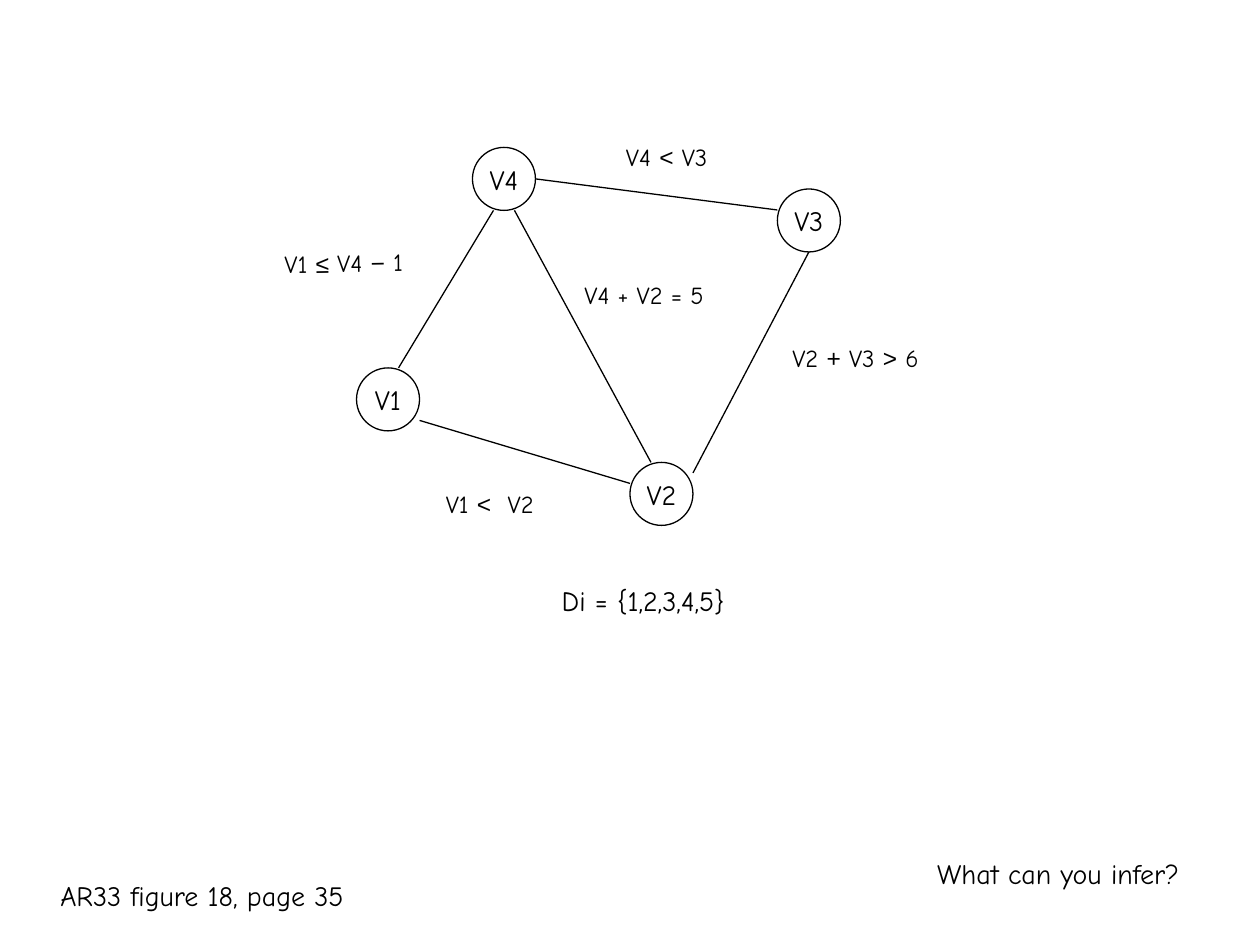
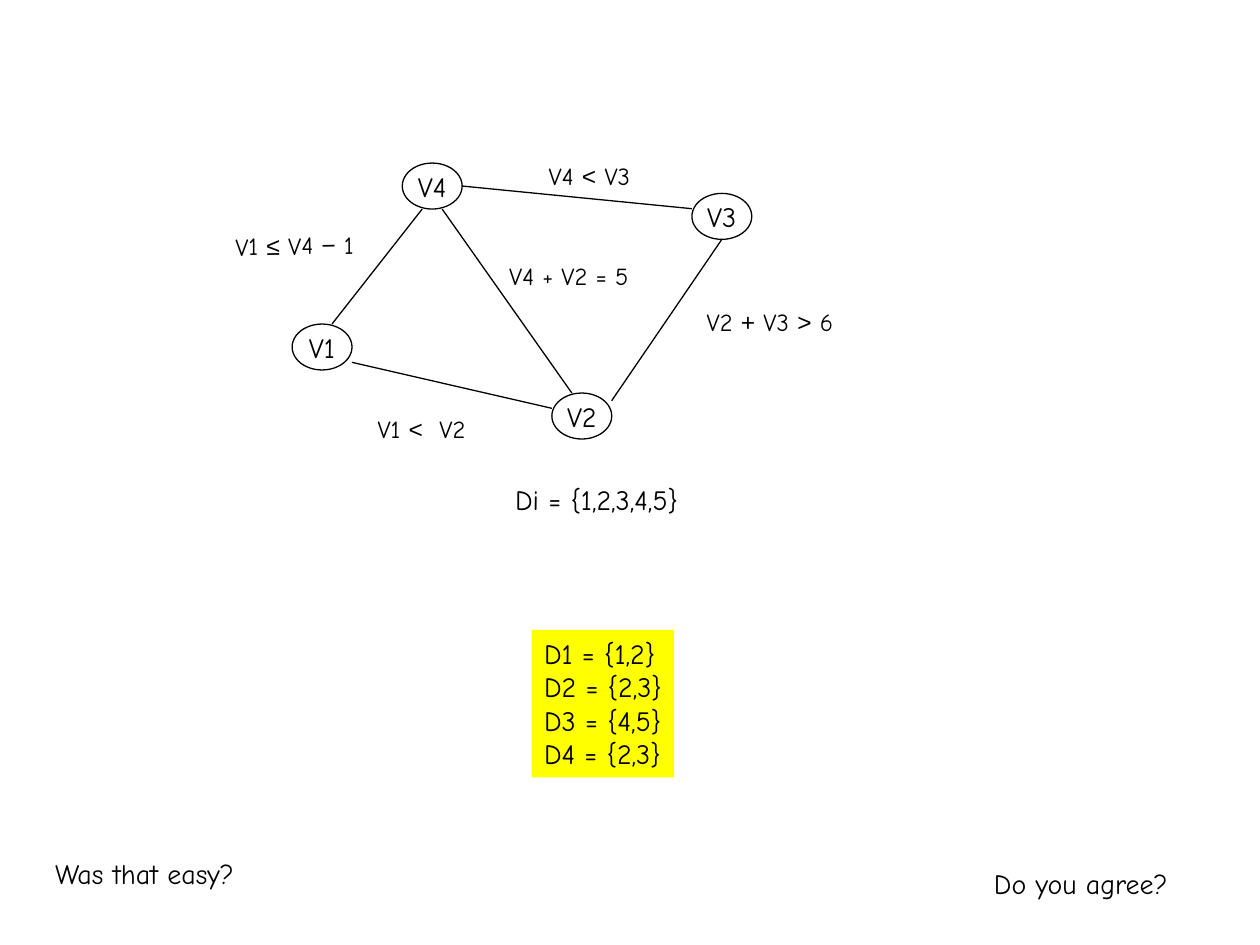
"""Build two slides of a constraint graph: the question, then the reduced domains."""
from lxml import etree
from pptx import Presentation
from pptx.dml.color import RGBColor
from pptx.enum.shapes import MSO_CONNECTOR, MSO_SHAPE
from pptx.enum.text import MSO_ANCHOR, MSO_AUTO_SIZE, PP_ALIGN
from pptx.oxml.ns import qn
from pptx.util import Inches, Pt

BLACK = RGBColor(0x00, 0x00, 0x00)
YELLOW = RGBColor(0xFF, 0xFF, 0x00)
FONT, SYMBOL_FONT = "Comic Neue", "Arial"
BODY, SMALL = 16, 14
LINE_WIDTH = Pt(0.75)
OVAL, RECT, STRAIGHT = MSO_SHAPE.OVAL, MSO_SHAPE.RECTANGLE, MSO_CONNECTOR.STRAIGHT
LEFT, CENTER = PP_ALIGN.LEFT, PP_ALIGN.CENTER
TOP, MIDDLE, GROW = MSO_ANCHOR.TOP, MSO_ANCHOR.MIDDLE, MSO_AUTO_SIZE.SHAPE_TO_FIT_TEXT
BODY_H, SMALL_H = 0.37, 0.34

NODE = 0.5
NODES = {"V1": (2.83, 2.92), "V3": (6.17, 1.5), "V2": (5, 3.67), "V4": (3.75, 1.17)}
EDGES = [
    ("V4", (1 / 3, 1), "V1", (2 / 3, 0)),
    ("V1", (1, 5 / 6), "V2", (0, 1 / 3)),
    ("V2", (1, 1 / 6), "V3", (1 / 2, 1)),
    ("V4", (1, 1 / 2), "V3", (0, 1 / 3)),
    ("V4", (2 / 3, 1), "V2", (1 / 3, 0)),
]
CONSTRAINTS = [
    (("V4 ", "<", " V3"), 4.87, 1.08, 0.84),
    (("V4 + V2 = 5",), 4.54, 2.17, 1.15),
    (("V1 ", "<", "  V2"), 3.44, 3.83, 0.89),
    (("V2 ", "+", " V3 ", ">", " 6"), 6.19, 2.67, 1.2),
]
TILTED = ("V1 ", "≤", " V4 ", "−", " 1")
DOMAIN = "Di = {1,2,3,4,5}"

SLIDES = [
    {
        "scale": (1, 1), "offset": (0, 0),
        "tilted": (2.16, 1.92, 1.33), "domain": (4.36, 4.58, 1.49),
        "remarks": [("AR33 figure 18, page 35", 0.38, 6.92, 2.45),
                    ("What can you infer?", 7.34, 6.75, 2.13)],
        "answer": [],
    },
    {
        "scale": (0.95, 0.73), "offset": (-0.37, 0.44),
        "tilted": (1.77, 1.78, 1.26), "domain": (3.99, 3.78, 1.49),
        "remarks": [("Do you agree?", 7.79, 6.83, 1.59),
                    ("Was that easy?", 0.34, 6.75, 1.63)],
        "answer": ["D1 = {1,2}", "D2 = {2,3}", "D3 = {4,5}", "D4 = {2,3}"],
    },
]
ANSWER_BOX = (4.22, 5, 1.13, 1.17)


def style(p, size, align=LEFT):
    p.alignment = align
    p.font.name, p.font.size, p.font.color.rgb = FONT, Pt(size), BLACK


def fit_text(tf):
    """Keep each line whole by letting it run up to the right edge."""
    tf.word_wrap, tf.auto_size, tf.vertical_anchor = True, GROW, TOP
    tf.margin_right = 0


def add_text(s, parts, x, y, w, h, size):
    """Add a one-line text box; every second part is a symbol."""
    box = s.shapes.add_textbox(*map(Inches, (x, y, w, h)))
    fit_text(box.text_frame)
    p = box.text_frame.paragraphs[0]
    style(p, size)
    for i, part in enumerate(parts):
        r = p.add_run()
        r.text = part
        if i % 2:
            r.font.name = SYMBOL_FONT
    return box


def add_graph(s, scale, offset):
    def place(x, y):
        return x * scale[0] + offset[0], y * scale[1] + offset[1]

    def anchor(name, share):
        x, y = NODES[name]
        return map(Inches, place(x + NODE * share[0], y + NODE * share[1]))

    for name, corner in NODES.items():
        size = (NODE * scale[0], NODE * scale[1])
        sp = s.shapes.add_shape(OVAL, *map(Inches, place(*corner) + size))
        sp.shadow.inherit = False
        sp.fill.background()
        sp.line.color.rgb, sp.line.width = BLACK, LINE_WIDTH
        tf = sp.text_frame
        tf.word_wrap, tf.vertical_anchor = False, MIDDLE
        p = tf.paragraphs[0]
        p.text = name
        style(p, BODY, CENTER)
    for start, start_share, end, end_share in EDGES:
        edge = s.shapes.add_connector(
            STRAIGHT, *anchor(start, start_share), *anchor(end, end_share))
        edge.line.color.rgb, edge.line.width = BLACK, LINE_WIDTH
        etree.SubElement(edge.element.spPr, qn("a:effectLst"))
    for parts, x, y, w in CONSTRAINTS:
        add_text(s, parts, *place(x, y), w, SMALL_H, SMALL)


def add_answer(s, lines):
    sp = s.shapes.add_shape(RECT, *map(Inches, ANSWER_BOX))
    sp.shadow.inherit = False
    sp.fill.solid()
    sp.fill.fore_color.rgb = YELLOW
    sp.line.fill.background()
    tf = sp.text_frame
    tf.text = "\n".join(lines)
    fit_text(tf)
    for p in tf.paragraphs:
        style(p, BODY)


def main():
    prs = Presentation()
    prs.slide_width, prs.slide_height = Inches(10), Inches(7.5)
    for content in SLIDES:
        s = prs.slides.add_slide(prs.slide_layouts[6])
        add_text(s, (DOMAIN,), *content["domain"], BODY_H, BODY)
        add_graph(s, content["scale"], content["offset"])
        add_text(s, TILTED, *content["tilted"], SMALL_H, SMALL).rotation = 359
        if content["answer"]:
            add_answer(s, content["answer"])
        for remark, x, y, w in content["remarks"]:
            add_text(s, (remark,), x, y, w, BODY_H, BODY)
    prs.save("out.pptx")


if __name__ == "__main__":
    main()
